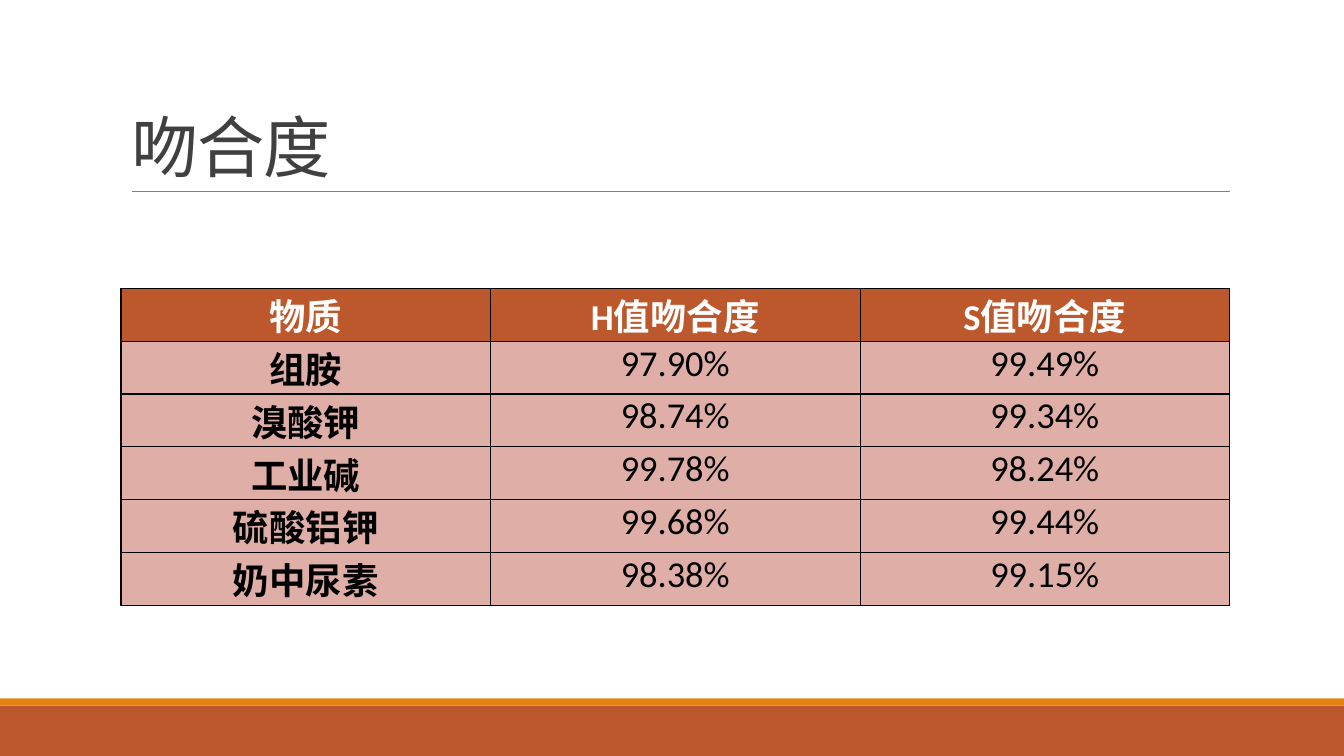
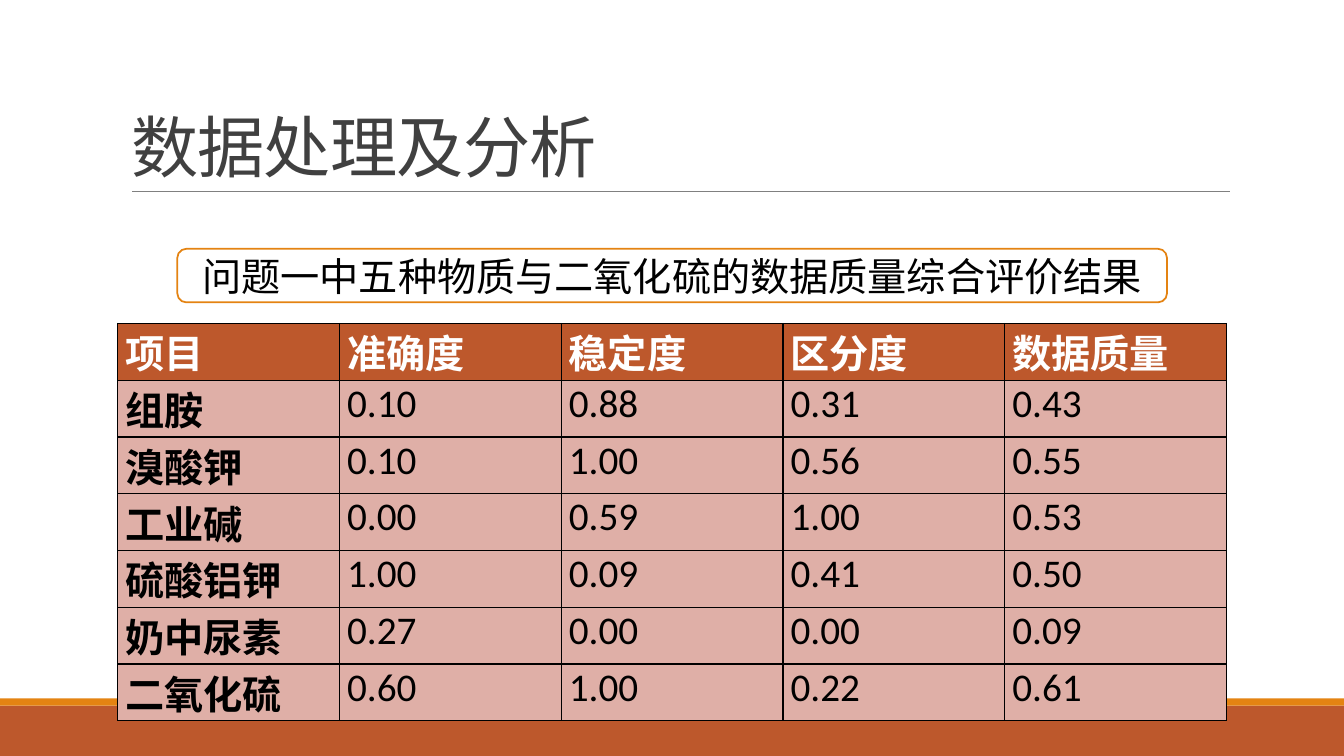
import pptx
import pptx.util
import pptx.dml.color
import pptx.enum.lang
import pptx.enum.shapes
import pptx.enum.text
import pptx.oxml
import pptx.oxml.ns

Cm, Pt = pptx.util.Cm, pptx.util.Pt
RGB = pptx.dml.color.RGBColor.from_string
SHAPE = pptx.enum.shapes.MSO_SHAPE
ALIGN = pptx.enum.text.PP_ALIGN
ANCHOR = pptx.enum.text.MSO_ANCHOR

FONT = "Calibri"
COLORS = {
    "header": "BD582C", "accent": "E48312", "body": "DFAFA7", "title": "404040",
    "rule": "808080", "text": "000000", "white": "FFFFFF",
}
WIDTH, HEIGHT = Cm(33.87), Cm(19.05)
TABLE_WIDTH = Cm(27.94)

PAGES = [
    {
        "title": "吻合度",
        "left": 3.05, "top": 7.27, "row_height": 1.33,
        "size": 26, "align": ALIGN.CENTER,
        "rows": [
            ["物质", "H值吻合度", "S值吻合度"],
            ["组胺", "97.90%", "99.49%"],
            ["溴酸钾", "98.74%", "99.34%"],
            ["工业碱", "99.78%", "98.24%"],
            ["硫酸铝钾", "99.68%", "99.44%"],
            ["奶中尿素", "98.38%", "99.15%"],
        ],
    },
    {
        "title": "数据处理及分析",
        "caption": "问题一中五种物质与二氧化硫的数据质量综合评价结果",
        "left": 2.97, "top": 8.15, "row_height": 1.43,
        "size": 28, "align": ALIGN.LEFT,
        "rows": [
            ["项目", "准确度", "稳定度", "区分度", "数据质量"],
            ["组胺", "0.10", "0.88", "0.31", "0.43"],
            ["溴酸钾", "0.10", "1.00", "0.56", "0.55"],
            ["工业碱", "0.00", "0.59", "1.00", "0.53"],
            ["硫酸铝钾", "1.00", "0.09", "0.41", "0.50"],
            ["奶中尿素", "0.27", "0.00", "0.00", "0.09"],
            ["二氧化硫", "0.60", "1.00", "0.22", "0.61"],
        ],
    },
]


def add_text(frame, text, size, color, align, bold=False):
    paragraph = frame.paragraphs[0]
    paragraph.alignment = align
    run = paragraph.add_run()
    run.text = text
    run.font.name = FONT
    run.font.size = Pt(size)
    run.font.bold = bold
    run.font.color.rgb = RGB(COLORS[color])
    run.font.language_id = pptx.enum.lang.MSO_LANGUAGE_ID.SIMPLIFIED_CHINESE
    return paragraph


def add_box(slide, preset, left, top, width, height, fill):
    box = slide.shapes.add_shape(preset, left, top, width, height)
    box.shadow.inherit = False
    box.fill.solid()
    box.fill.fore_color.rgb = RGB(COLORS[fill])
    box.line.fill.background()
    return box


prs = pptx.Presentation()
prs.slide_width, prs.slide_height = WIDTH, HEIGHT

for page in PAGES:
    slide = prs.slides.add_slide(prs.slide_layouts[5])

    # Footer bands
    add_box(slide, SHAPE.RECTANGLE, 0, Cm(17.78), WIDTH, Cm(1.27), "header")
    add_box(slide, SHAPE.RECTANGLE, 0, Cm(17.6), WIDTH, Cm(0.18), "accent")

    # Title and the rule below it
    title = slide.shapes.title
    title.left, title.top, title.width, title.height = Cm(3.05), Cm(0.79), Cm(27.94), Cm(4.04)
    title.text_frame.vertical_anchor = ANCHOR.BOTTOM
    title.text_frame.auto_size = pptx.enum.text.MSO_AUTO_SIZE.NONE
    heading = add_text(title.text_frame, page["title"], 48, "title", ALIGN.LEFT)
    heading.line_spacing = 0.85
    heading.runs[0]._r.get_or_add_rPr().set("spc", "-50")
    rule = slide.shapes.add_connector(
        pptx.enum.shapes.MSO_CONNECTOR.STRAIGHT, Cm(3.33), Cm(4.83), Cm(31), Cm(4.83))
    rule.line.color.rgb = RGB(COLORS["rule"])
    rule.line.width = Pt(0.5)
    rule._element.spPr.append(pptx.oxml.parse_xml(
        f'<a:effectLst {pptx.oxml.ns.nsdecls("a")}/>'))

    # Results table
    rows = page["rows"]
    row_height = Cm(page["row_height"])
    results = slide.shapes.add_table(
        len(rows), len(rows[0]), Cm(page["left"]), Cm(page["top"]),
        TABLE_WIDTH, row_height * len(rows)).table
    for row in results.rows:
        row.height = row_height
    for r, values in enumerate(rows):
        for c, value in enumerate(values):
            is_header = r == 0
            cell = results.cell(r, c)
            cell.margin_left = cell.margin_right = Cm(0.19)
            cell.margin_top = cell.margin_bottom = 0
            cell.vertical_anchor = ANCHOR.BOTTOM if is_header else ANCHOR.TOP
            for side in "LRTB":
                cell._tc.get_or_add_tcPr().append(pptx.oxml.parse_xml(
                    f'<a:ln{side} {pptx.oxml.ns.nsdecls("a")} w="{Pt(1)}"><a:solidFill>'
                    f'<a:srgbClr val="{COLORS["text"]}"/></a:solidFill></a:ln{side}>'))
            cell.fill.solid()
            cell.fill.fore_color.rgb = RGB(COLORS["header" if is_header else "body"])
            entry = add_text(cell.text_frame, value, page["size"],
                             "white" if is_header else "text", page["align"],
                             bold=is_header or c == 0)
            entry.space_before = entry.space_after = Pt(1.8)

    # Caption above the table
    if "caption" in page:
        caption = add_box(slide, SHAPE.ROUNDED_RECTANGLE,
                          Cm(4.47), Cm(6.27), Cm(24.94), Cm(1.35), "white")
        caption.line.color.rgb = RGB(COLORS["accent"])
        caption.line.width = Pt(1.25)
        caption.text_frame.word_wrap = True
        caption.text_frame.vertical_anchor = ANCHOR.MIDDLE
        add_text(caption.text_frame, page["caption"], 28, "text", ALIGN.CENTER)

prs.save("out.pptx")
